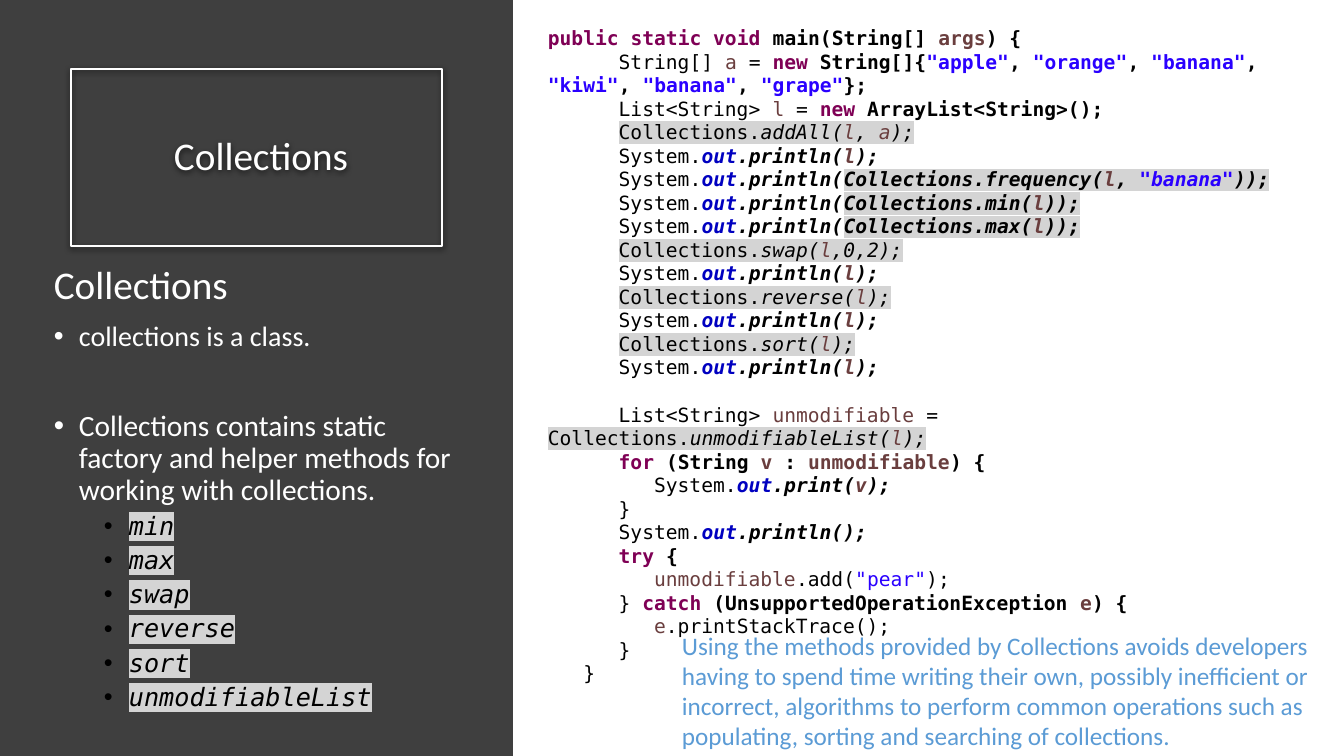
from lxml.etree import SubElement
from pptx import Presentation
from pptx.dml.color import RGBColor
from pptx.enum.shapes import MSO_SHAPE
from pptx.enum.text import MSO_ANCHOR, MSO_AUTO_SIZE, PP_ALIGN
from pptx.oxml import parse_xml
from pptx.oxml.ns import nsdecls, qn
from pptx.util import Emu, Pt

COLOURS = {
    "panel": "3F3F3F", "white": "FFFFFF", "ink": "000000", "mark": "D4D4D4",
    "keyword": "7F0055", "variable": "6A3E3E", "string": "2A00FF",
    "field": "0000C0", "advice": "5B9BD5",
}
TOKENS = {"k": "keyword", "v": "variable", "s": "string", "f": "field"}
SANS, MONO = "Calibri", "DejaVu Sans Mono"

TITLE = " Collections"
HEADING = "Collections"
POINTS = [
    ("collections is a class.", 20, 10),
    ("Collections contains static factory and helper methods for working "
     "with collections.", 21, 42),
]
METHODS = ["min", "max", "swap", "reverse", "sort", "unmodifiableList"]
ADVICE = ("Using the methods provided by Collections avoids developers having "
          "to spend time writing their own, possibly inefficient or incorrect, "
          "algorithms to perform common operations such as populating, sorting "
          "and searching of collections.")

# Styles: b bold, i italic, h highlighted; |kword| colours a token.
PRINT = [("", "System."), ("bi", "|fout|.println(")]
PRINT_LIST = (2, PRINT + [("bi", "|vl|);")])


def print_call(call):
    return 2, PRINT + [("bih", f"Collections.{call});")]


def helper_call(call):
    return 2, [("h", "Collections."), ("ih", call)]


CODE = [
    (0, [("b", "|kpublic static void| main(String[] |vargs|) {")]),
    (2, [("", "String[] |va| = "),
         ("b", '|knew| String[]{|s"apple"|, |s"orange"|, |s"banana"|, '
               '|s"kiwi"|, |s"banana"|, |s"grape"|};')]),
    (2, [("", "List<String> |vl| = "), ("b", "|knew| ArrayList<String>();")]),
    helper_call("addAll(|vl|, |va|);"),
    PRINT_LIST,
    print_call('frequency(|vl|, |s"banana"|)'),
    print_call("min(|vl|)"),
    print_call("max(|vl|)"),
    helper_call("swap(|vl|,0,2);"),
    PRINT_LIST,
    helper_call("reverse(|vl|);"),
    PRINT_LIST,
    helper_call("sort(|vl|);"),
    PRINT_LIST,
    (2, [("", "List<String> |vunmodifiable| = "), ("h", "Collections."),
         ("ih", "unmodifiableList(|vl|);")]),
    (2, [("b", "|kfor| (String |vv| : |vunmodifiable|) {")]),
    (3, [("", "System."), ("bi", "|fout|.print(|vv|);")]),
    (2, [("", "}")]),
    (2, PRINT + [("bi", ");")]),
    (2, [("b", "|ktry| {")]),
    (3, [("", '|vunmodifiable|.add(|s"pear"|);')]),
    (2, [("", "} "), ("b", "|kcatch| (UnsupportedOperationException |ve|) {")]),
    (3, [("", "|ve|.printStackTrace();")]),
    (2, [("", "}")]),
    (1, [("", "}")]),
]
SECTION_START = 14
CODE_LINE = Pt(16.8)

PANEL_BOX = (0, 0, 513, 756)
TITLE_BOX = (71, 69, 371, 177)
NOTES_BOX = (44, 261, 432, 481)
CODE_BOX = (538, 21, 791, 651)
ADVICE_BOX = (672, 625, 672, 132)
CODE_STEP = 35.4
BULLET_STEP = 25


def px(length):
    return Emu(round(length * 914400 / 100.8))


def rgb(name):
    return RGBColor.from_string(COLOURS[name])


def assign(target, values):
    for name, value in values.items():
        setattr(target, name, value)


def place(part, box):
    assign(part, dict(zip(("left", "top", "width", "height"), map(px, box))))


def write(paragraph, text, colour, size, face=SANS, style=""):
    run = paragraph.add_run()
    run.text = text
    assign(run.font, {"name": face, "size": Pt(size),
                      "bold": "b" in style, "italic": "i" in style})
    run.font.color.rgb = rgb(colour)
    if "h" in style:
        mark = parse_xml(f'<a:highlight {nsdecls("a")}>'
                         f'<a:srgbClr val="{COLOURS["mark"]}"/></a:highlight>')
        run.font.fill._xPr.find(qn("a:solidFill")).addnext(mark)


def next_paragraph(frame):
    first = frame.paragraphs[0]
    return frame.add_paragraph() if first.runs else first


def indent(paragraph, margin, first_line):
    properties = paragraph._p.get_or_add_pPr()
    properties.set("marL", str(px(margin)))
    properties.set("indent", str(px(first_line)))
    return properties


def bullet(frame, level, before):
    paragraph = next_paragraph(frame)
    assign(paragraph, {"level": level, "line_spacing": 0.9,
                       "space_before": Pt(before)})
    properties = indent(paragraph, BULLET_STEP * (1 + 2 * level), -BULLET_STEP)
    SubElement(properties, qn("a:buFont")).set("typeface", "Arial")
    SubElement(properties, qn("a:buChar")).set("char", "•")
    return paragraph


def text_area(slide, box, fit=MSO_AUTO_SIZE.NONE):
    frame = slide.shapes.add_textbox(*map(px, box)).text_frame
    assign(frame, {"word_wrap": True, "auto_size": fit})
    return frame


def add_title(slide):
    title = slide.shapes.title
    place(title, TITLE_BOX)
    title.fill.background()
    title.line.color.rgb = rgb("white")
    title.line.width = Pt(1.5)
    title._element.spPr.append(parse_xml(
        f'<a:effectLst {nsdecls("a")}><a:outerShdw blurRad="{Pt(4.5)}" '
        f'dist="{Pt(1.5)}" dir="5400000"><a:srgbClr val="{COLOURS["ink"]}">'
        '<a:alpha val="63000"/></a:srgbClr></a:outerShdw></a:effectLst>'))
    assign(title.text_frame, {"vertical_anchor": MSO_ANCHOR.MIDDLE,
                              "word_wrap": True})
    paragraph = title.text_frame.paragraphs[0]
    assign(paragraph, {"alignment": PP_ALIGN.CENTER, "line_spacing": 0.9})
    write(paragraph, TITLE, "white", 28)


def add_panel(slide):
    panel = slide.shapes.add_shape(MSO_SHAPE.RECTANGLE, *map(px, PANEL_BOX))
    panel.shadow.inherit = False
    panel.fill.solid()
    panel.fill.fore_color.rgb = rgb("panel")
    panel.line.fill.background()
    slide.shapes.title._element.addprevious(panel._element)


def add_notes(slide):
    frame = text_area(slide, NOTES_BOX)
    heading = next_paragraph(frame)
    heading.line_spacing = 0.9
    write(heading, HEADING, "white", 28)
    for point, size, before in POINTS:
        write(bullet(frame, 0, before), point, "white", size)
    for method in METHODS:
        write(bullet(frame, 1, 5), method, "ink", 18, MONO, "ih")


def add_code(slide):
    frame = text_area(slide, CODE_BOX, MSO_AUTO_SIZE.SHAPE_TO_FIT_TEXT)
    for number, (depth, segments) in enumerate(CODE):
        line = next_paragraph(frame)
        indent(line, 0, depth * CODE_STEP)
        if number == SECTION_START:
            line.space_before = CODE_LINE
        for style, marked in segments:
            for place_in_line, piece in enumerate(marked.split("|")):
                if place_in_line % 2:
                    write(line, piece[1:], TOKENS[piece[0]], 14, MONO, style)
                elif piece:
                    write(line, piece, "ink", 14, MONO, style)


def main():
    deck = Presentation()
    assign(deck, {"slide_width": px(1344), "slide_height": px(756)})
    slide = deck.slides.add_slide(deck.slide_layouts[5])
    add_title(slide)
    add_panel(slide)
    add_notes(slide)
    add_code(slide)
    advice = text_area(slide, ADVICE_BOX, MSO_AUTO_SIZE.SHAPE_TO_FIT_TEXT)
    write(next_paragraph(advice), ADVICE, "advice", 18)
    deck.save("out.pptx")


if __name__ == "__main__":
    main()
